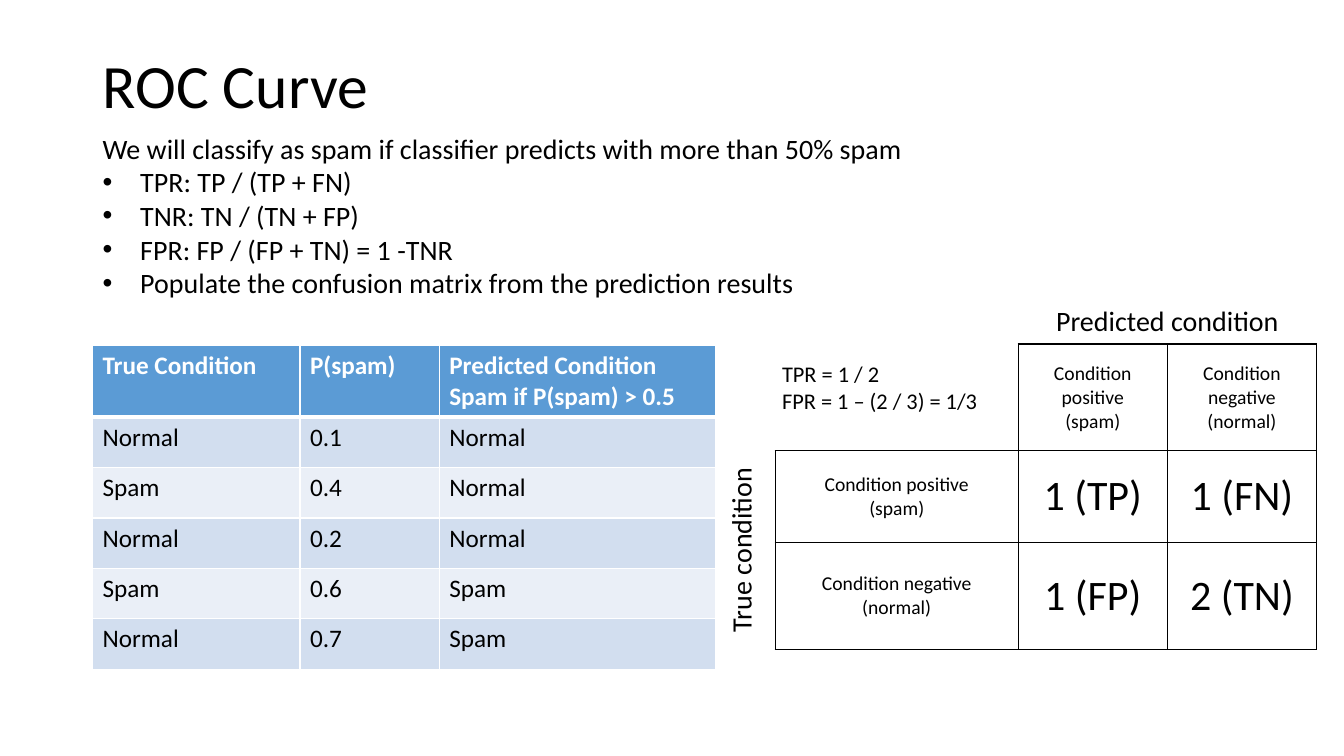
from lxml.etree import SubElement
from pptx import Presentation
from pptx.dml.color import RGBColor
from pptx.enum.text import MSO_ANCHOR, MSO_AUTO_SIZE, PP_ALIGN
from pptx.oxml.ns import qn
from pptx.util import Cm, Pt

HUES = {"ink": "000000", "paper": "FFFFFF", "head": "5B9BD5",
        "odd": "D2DEEF", "even": "EAEFF7"}
SIDES = {"lnL": (0, -1), "lnR": (0, 1), "lnT": (-1, 0), "lnB": (1, 0)}

NOTES = ["We will classify as spam if classifier predicts with more than 50% spam",
         "TPR: TP / (TP + FN)",
         "TNR: TN / (TN + FP)",
         "FPR: FP / (FP + TN) = 1 -TNR",
         "Populate the confusion matrix from the prediction results"]
RATES = "TPR = 1 / 2\nFPR = 1 – (2 / 3) = 1/3"
SCORES = [["True Condition", "P(spam)", "Predicted Condition\nSpam if P(spam) > 0.5"],
          ["Normal", "0.1", "Normal"],
          ["Spam", "0.4", "Normal"],
          ["Normal", "0.2", "Normal"],
          ["Spam", "0.6", "Spam"],
          ["Normal", "0.7", "Spam"]]
POS, NEG = "Condition positive\n(spam)", "Condition negative\n(normal)"
MATRIX = [["", "", "Predicted condition", ""],
          ["", "", POS, NEG],
          ["True condition", POS, "1 (TP)", "1 (FN)"],
          ["", NEG, "1 (FP)", "2 (TN)"]]


def rgb(hue):
    return RGBColor.from_string(HUES[hue])


def apply(item, **form):
    for name, value in form.items():
        setattr(item, name, value)


def write(frame, text, size, hue="ink", bold=False, **form):
    """Fill a text frame, one paragraph a line, in one style."""
    frame.text = text
    for para in frame.paragraphs:
        apply(para, **form)
        apply(para.font, name="Calibri", size=Pt(size), bold=bold)
        para.font.color.rgb = rgb(hue)
        for run in para.runs:
            apply(run.font, name="Calibri", size=Pt(size), bold=bold)
            run.font.color.rgb = rgb(hue)


def place(shape, box):
    apply(shape, **dict(zip(("left", "top", "width", "height"), map(Cm, box))))


def edge(cell, side, hue, width):
    """Draw one cell border; a width of 0 hides it."""
    line = SubElement(cell._tc.get_or_add_tcPr(), qn("a:" + side), w=str(Pt(width)))
    if width:
        fill = SubElement(line, qn("a:solidFill"))
        SubElement(fill, qn("a:srgbClr"), val=HUES[hue])
    else:
        SubElement(line, qn("a:noFill"))


def grid(slide, spot, cols, rows):
    left, top = spot
    box = map(Cm, (left, top, sum(cols), sum(rows)))
    table = slide.shapes.add_table(len(rows), len(cols), *box).table
    apply(table, first_row=False, horz_banding=False)
    for col, width in zip(table.columns, cols):
        col.width = Cm(width)
    for row, height in zip(table.rows, rows):
        row.height = Cm(height)
    return table


def title(slide, box):
    shape = slide.shapes.title
    place(shape, box)
    apply(shape.text_frame, vertical_anchor=MSO_ANCHOR.MIDDLE,
          auto_size=MSO_AUTO_SIZE.NONE)
    write(shape.text_frame, "ROC Curve", 44, alignment=PP_ALIGN.LEFT, line_spacing=0.9)


def notes(slide, box):
    shape = slide.placeholders[1]
    place(shape, box)
    frame = shape.text_frame
    frame.auto_size = MSO_AUTO_SIZE.NONE
    write(frame, "\n".join(NOTES), 20, space_before=Pt(0))
    for spot, para in enumerate(frame.paragraphs):
        props = para._p.get_or_add_pPr()
        dent = Cm(0.95) if spot else 0
        props.set("marL", str(dent))
        props.set("indent", str(-dent))
        if spot:
            SubElement(props, qn("a:buFont"), typeface="Arial")
            SubElement(props, qn("a:buChar"), char="•")
        else:
            SubElement(props, qn("a:buNone"))


def rates(slide, box):
    frame = slide.shapes.add_textbox(*map(Cm, box)).text_frame
    frame.word_wrap = True
    write(frame, RATES, 16)


def scores(slide, spot):
    table = grid(slide, spot, (5.23, 3.51, 6.96), [1.63] + [1.27] * 5)
    for r, row in enumerate(SCORES):
        for c, text in enumerate(row):
            cell, head = table.cell(r, c), r == 0
            write(cell.text_frame, text, 18, "paper" if head else "ink", head)
            for side in SIDES:
                thick = (r, side) in ((0, "lnB"), (1, "lnT"))
                edge(cell, side, "paper", 3 if thick else 1)
            cell.fill.solid()
            cell.fill.fore_color.rgb = rgb("head" if head else "odd" if r % 2 else "even")


def boxed(r, c):
    """Tell whether a matrix cell has a frame."""
    return r > 0 and c > 0 and r + c > 2


def matrix(slide, spot):
    table = grid(slide, spot, (1.4, 6.12, 3.76, 3.76), (0.61, 2.69, 2.31, 2.69))
    table.cell(0, 2).merge(table.cell(0, 3))
    table.cell(2, 0).merge(table.cell(3, 0))
    for r, row in enumerate(MATRIX):
        for c, text in enumerate(row):
            cell = table.cell(r, c)
            size = 30 if r > 1 and c > 1 else 14 if boxed(r, c) else 20
            if text:
                write(cell.text_frame, text, size, alignment=PP_ALIGN.CENTER)
            cell.vertical_anchor = MSO_ANCHOR.MIDDLE
            for side, (down, across) in SIDES.items():
                drawn = boxed(r, c) or boxed(r + down, c + across)
                edge(cell, side, "ink", int(drawn))
            cell.fill.background()
    table.cell(2, 0)._tc.get_or_add_tcPr().set("vert", "vert270")


def main():
    deck = Presentation()
    apply(deck, slide_width=Cm(33.87), slide_height=Cm(19.05))
    slide = deck.slides.add_slide(deck.slide_layouts[1])
    title(slide, (2.33, 1.01, 29.21, 2.42))
    scores(slide, (2.33, 8.71))
    matrix(slide, (18.14, 7.55))
    rates(slide, (19.46, 8.95, 5.6, 1.62))
    notes(slide, (2.33, 3.18, 25.86, 4.52))
    deck.save("out.pptx")


if __name__ == "__main__":
    main()
